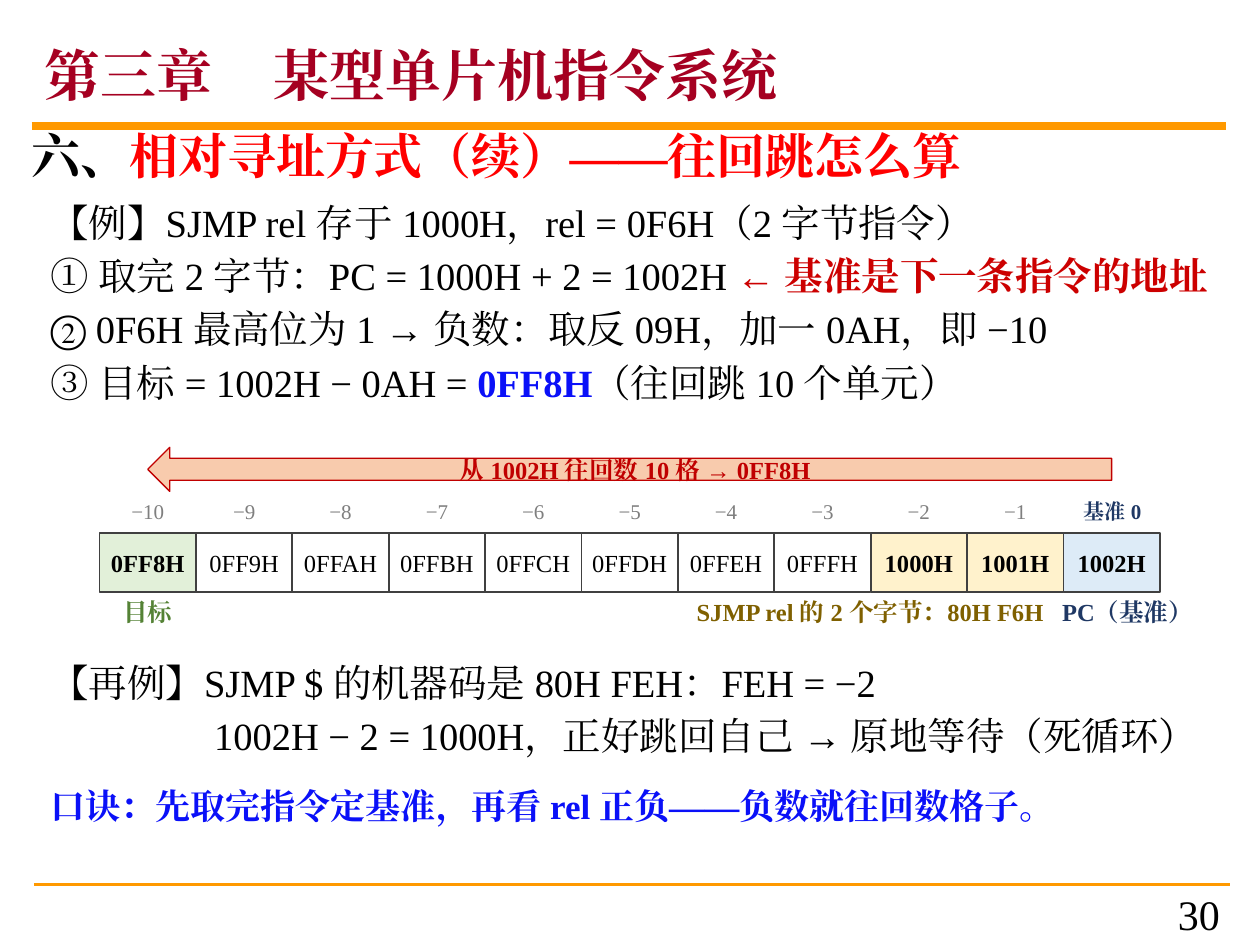
from dataclasses import dataclass

import lxml.etree
import pptx
import pptx.dml.color
import pptx.enum.shapes
import pptx.enum.text
import pptx.oxml.ns
import pptx.util

Inches = pptx.util.Inches
Pt = pptx.util.Pt
qn = pptx.oxml.ns.qn
rgb = pptx.dml.color.RGBColor.from_string
ALIGN = pptx.enum.text.PP_ALIGN
ANCHOR = pptx.enum.text.MSO_ANCHOR
AUTO_SIZE = pptx.enum.text.MSO_AUTO_SIZE
SHAPE = pptx.enum.shapes.MSO_SHAPE


@dataclass(frozen=True)
class Theme:
    font: str = "Times New Roman"
    title: str = "A50021"
    rule: str = "FF9900"
    black: str = "000000"
    red: str = "FF0000"
    warning: str = "CC0000"
    blue: str = "0A10F8"
    gray: str = "7F7F7F"
    navy: str = "1F3864"
    green: str = "548235"
    olive: str = "7F6000"
    arrow: str = "C00000"
    arrow_fill: str = "F8CBAD"
    cell_line: str = "404040"
    cell_fill: str = "FFFFFF"
    target_fill: str = "E2F0D9"
    code_fill: str = "FFF2CC"
    base_fill: str = "DDEBF7"
    title_size: int = 32
    heading_size: int = 28
    number_size: int = 24
    body_size: int = 22
    motto_size: int = 20
    cell_size: int = 14
    offset_size: int = 12


theme = Theme()


def write(shape, paragraphs, size, color=theme.black, bold=False, align=ALIGN.LEFT,
          anchor=ANCHOR.TOP, insets=(0.05, 0.02), space=4):
    """Fill a shape with paragraphs, each a string or a list of (text, color, bold) runs."""
    frame = shape.text_frame
    frame.word_wrap = True
    frame.vertical_anchor = anchor
    frame.margin_left = frame.margin_right = Inches(insets[0])
    frame.margin_top = frame.margin_bottom = Inches(insets[1])
    for index, content in enumerate(paragraphs):
        paragraph = frame.add_paragraph() if index else frame.paragraphs[0]
        paragraph.alignment = align
        paragraph.space_before = Pt(space if index else 0)
        runs = [(content, color, bold)] if isinstance(content, str) else content
        for text, run_color, run_bold in runs:
            run = paragraph.add_run()
            run.text = text
            run.font.size = Pt(size)
            run.font.bold = run_bold
            run.font.color.rgb = rgb(run_color)
            run.font.name = theme.font
            east_asian = lxml.etree.SubElement(run.font._element, qn("a:ea"))
            east_asian.set("typeface", theme.font)
    return frame


def add_text(left, top, width, height, paragraphs, size, **text_format):
    box = slide.shapes.add_textbox(Inches(left), Inches(top), Inches(width), Inches(height))
    frame = write(box, paragraphs, size, **text_format)
    frame.auto_size = AUTO_SIZE.SHAPE_TO_FIT_TEXT
    return frame


presentation = pptx.Presentation()
presentation.slide_width = Inches(10)
presentation.slide_height = Inches(7.5)
slide = presentation.slides.add_slide(presentation.slide_layouts[5])

# Page frame
add_text(9.25, 7, 0.75, 0.5, ["30"], theme.number_size, insets=(0.1, 0.05))
for left, right, y, weight in [(0.25, 9.73, 1, 4.5), (0.27, 9.76, 7.02, 2.25)]:
    rule = slide.shapes.add_connector(
        pptx.enum.shapes.MSO_CONNECTOR.STRAIGHT,
        Inches(left), Inches(y), Inches(right), Inches(y))
    rule.line.color.rgb = rgb(theme.rule)
    rule.line.width = Pt(weight)
    lxml.etree.SubElement(rule._element.spPr, qn("a:effectLst"))

# Title, with a tab stop between chapter and subject
title = slide.shapes.title
title.left, title.top = Inches(0.25), Inches(0.25)
title.width, title.height = Inches(9.58), Inches(0.67)
title.text_frame.auto_size = AUTO_SIZE.NONE
title_properties = title.text_frame.paragraphs[0]._p.get_or_add_pPr()
tab_stops = lxml.etree.SubElement(title_properties, qn("a:tabLst"))
lxml.etree.SubElement(tab_stops, qn("a:tab"), pos=str(Inches(1.82)), algn="l")
write(title, ["第三章\t某型单片机指令系统"], theme.title_size, color=theme.title, bold=True,
      anchor=ANCHOR.MIDDLE, insets=(0.1, 0.05))

# Heading and worked example
add_text(0.2, 0.98, 9.51, 0.57, [[
    ("六、", theme.black, True),
    ("相对寻址方式（续）——往回跳怎么算", theme.red, True),
]], theme.heading_size)
add_text(0.35, 1.56, 9.41, 1.91, [
    "【例】SJMP rel 存于 1000H，rel = 0F6H（2 字节指令）",
    [("① 取完 2 字节：PC = 1000H + 2 = 1002H ", theme.black, False),
     ("← 基准是下一条指令的地址", theme.warning, True)],
    "② 0F6H 最高位为 1 → 负数：取反 09H，加一 0AH，即 −10",
    [("③ 目标 = 1002H − 0AH = ", theme.black, False),
     ("0FF8H", theme.blue, True),
     ("（往回跳 10 个单元）", theme.black, False)],
], theme.body_size)

# Memory cells from the target up to the base address
BASE = 0x1002
STEPS = 10
CELL_LEFT, CELL_WIDTH = 0.79, 0.765
special_fills = {-10: theme.target_fill, -2: theme.code_fill,
                 -1: theme.code_fill, 0: theme.base_fill}
for offset in range(-STEPS, 1):
    left = CELL_LEFT + (offset + STEPS) * CELL_WIDTH
    cell = slide.shapes.add_shape(
        SHAPE.RECTANGLE, Inches(left), Inches(4.23), Inches(CELL_WIDTH), Inches(0.47))
    cell.shadow.inherit = False
    cell.fill.solid()
    cell.fill.fore_color.rgb = rgb(special_fills.get(offset, theme.cell_fill))
    cell.line.color.rgb = rgb(theme.cell_line)
    cell.line.width = Pt(1)
    write(cell, [f"{BASE + offset:04X}H"], theme.cell_size, bold=offset in special_fills,
          align=ALIGN.CENTER, anchor=ANCHOR.MIDDLE)
    if offset:
        add_text(left, 3.94, CELL_WIDTH, 0.27, [f"−{-offset}"], theme.offset_size,
                 color=theme.gray, align=ALIGN.CENTER)
    else:
        add_text(8.34, 3.94, 0.98, 0.27, ["基准 0"], theme.offset_size,
                 color=theme.navy, bold=True, align=ALIGN.CENTER)

# Arrow from the base cell's centre to the target cell's centre
arrow = slide.shapes.add_shape(
    SHAPE.LEFT_ARROW, Inches(CELL_LEFT + CELL_WIDTH / 2), Inches(3.55),
    Inches(STEPS * CELL_WIDTH), Inches(0.35))
arrow.shadow.inherit = False
arrow.fill.solid()
arrow.fill.fore_color.rgb = rgb(theme.arrow_fill)
arrow.line.color.rgb = rgb(theme.arrow)
arrow.line.width = Pt(0.75)
write(arrow, ["从 1002H 往回数 10 格 → 0FF8H"], theme.cell_size, color=theme.arrow,
      bold=True, align=ALIGN.CENTER, anchor=ANCHOR.MIDDLE)

# Captions below the cells
for left, width, text, color, align in [
    (0.52, 1.31, "目标", theme.green, ALIGN.CENTER),
    (3.09, 5.29, "SJMP rel 的 2 个字节：80H F6H ", theme.olive, ALIGN.RIGHT),
    (8.38, 1.15, "PC（基准）", theme.navy, ALIGN.LEFT),
]:
    add_text(left, 4.72, width, 0.33, [text], theme.cell_size,
             color=color, bold=True, align=align)

# Second example and the rule to remember
second_example = add_text(0.35, 5.21, 9.41, 0.98, [
    "【再例】SJMP $ 的机器码是 80H FEH：FEH = −2",
    "1002H − 2 = 1000H，正好跳回自己 → 原地等待（死循环）",
], theme.body_size)
second_example.paragraphs[1]._p.get_or_add_pPr().set("marL", str(Inches(1.3)))
add_text(0.35, 6.21, 9.41, 0.52,
         ["口诀：先取完指令定基准，再看 rel 正负——负数就往回数格子。"],
         theme.motto_size, color=theme.blue, bold=True)

presentation.save("out.pptx")
